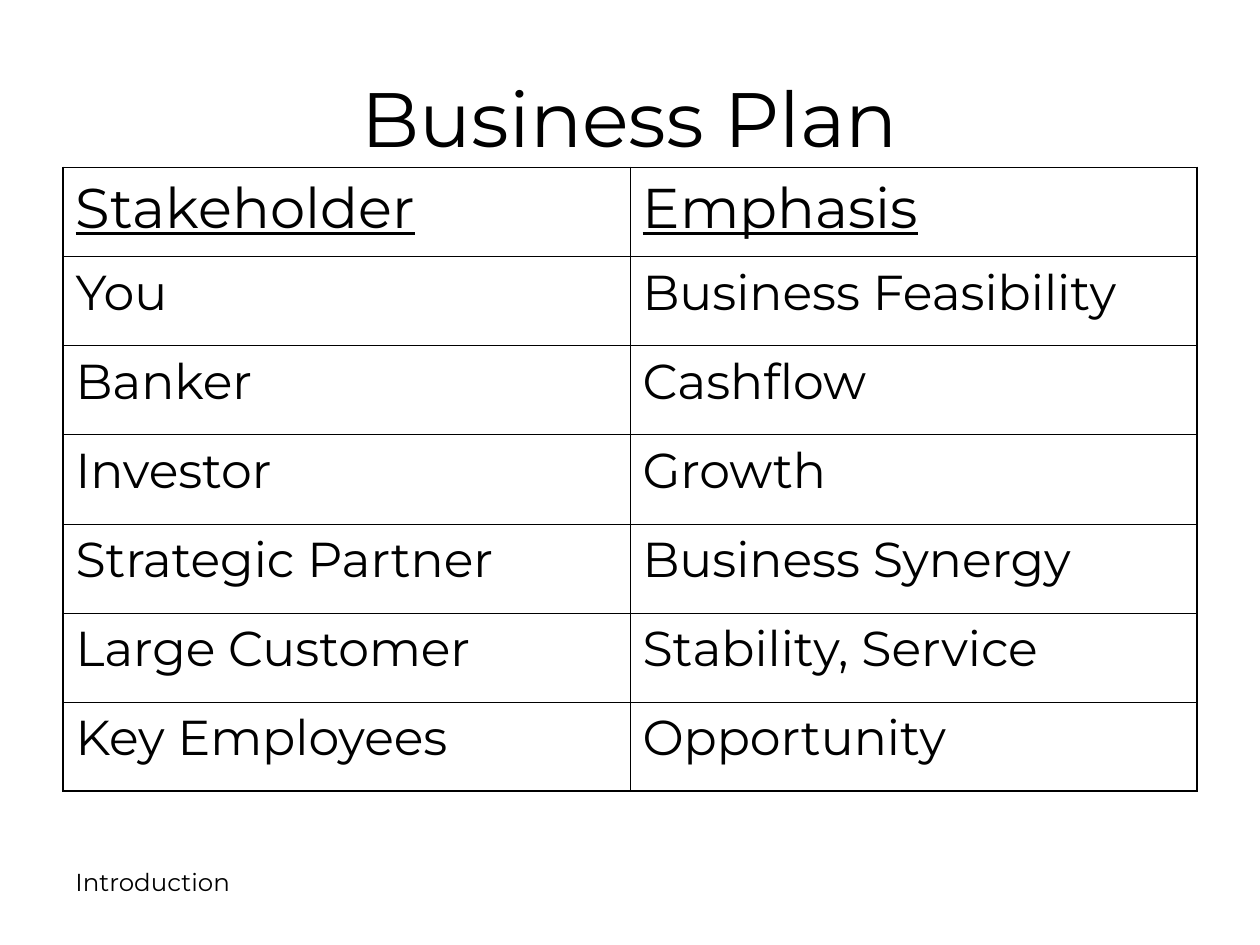
from lxml.etree import SubElement
from pptx import Presentation
from pptx.dml.color import RGBColor
from pptx.enum.text import MSO_ANCHOR, PP_ALIGN
from pptx.oxml.ns import qn
from pptx.util import Inches, Pt

FONT = "Montserrat"
BLACK = "000000"
OUTER, INNER = 1.08, 0.45  # border widths in points

ROWS = [
    ("Stakeholder", "Emphasis"),
    ("You", "Business Feasibility"),
    ("Banker", "Cashflow"),
    ("Investor", "Growth"),
    ("Strategic Partner", "Business Synergy"),
    ("Large Customer", "Stability, Service"),
    ("Key Employees", "Opportunity"),
]


def rgb(color):
    return RGBColor.from_string(color)


def set_text(tf, text, size, align=PP_ALIGN.LEFT, underline=False):
    tf.text = text
    tf.word_wrap = True
    p = tf.paragraphs[0]
    p.alignment = align
    font = p.runs[0].font
    font.name, font.size = FONT, Pt(size)
    font.color.rgb = rgb(BLACK)
    if underline:
        font.underline = True


def add_text(slide, box, text, size, align=PP_ALIGN.LEFT, anchor=MSO_ANCHOR.TOP):
    s = slide.shapes.add_textbox(*(Inches(v) for v in box))
    set_text(s.text_frame, text, size, align)
    s.text_frame.vertical_anchor = anchor


def set_borders(cell, widths):
    """Draw the left, right, top and bottom borders, in that order."""
    tc_pr = cell._tc.get_or_add_tcPr()
    for side, width in zip("LRTB", widths):
        ln = SubElement(tc_pr, qn(f"a:ln{side}"), w=str(int(Pt(width))))
        fill = SubElement(ln, qn("a:solidFill"))
        SubElement(fill, qn("a:srgbClr"), val=BLACK)


def add_grid(slide, box, rows):
    n_rows, n_cols = len(rows), len(rows[0])
    table = slide.shapes.add_table(n_rows, n_cols, *(Inches(v) for v in box)).table
    table.first_row = table.horz_banding = False
    for i, row in enumerate(rows):
        for j, text in enumerate(row):
            cell = table.cell(i, j)
            header = i == 0
            set_text(cell.text_frame, text, 32 if header else 28, underline=header)
            # Heavier lines only around the outside of the table
            edges = (j == 0, j == n_cols - 1, i == 0, i == n_rows - 1)
            set_borders(cell, [OUTER if edge else INNER for edge in edges])
            cell.fill.background()


def main():
    prs = Presentation()
    prs.slide_width, prs.slide_height = Inches(10), Inches(7.5)
    slide = prs.slides.add_slide(prs.slide_layouts[6])

    # Footer
    add_text(slide, (0.5, 6.83, 2.33, 0.52), "Introduction", 14)

    # Title
    add_text(slide, (0.5, 0.3, 9, 1.25), "Business Plan", 44,
             PP_ALIGN.CENTER, MSO_ANCHOR.MIDDLE)

    # Stakeholder table
    add_grid(slide, (0.5, 1.33, 9, 4.95), ROWS)

    prs.save("out.pptx")


if __name__ == "__main__":
    main()
